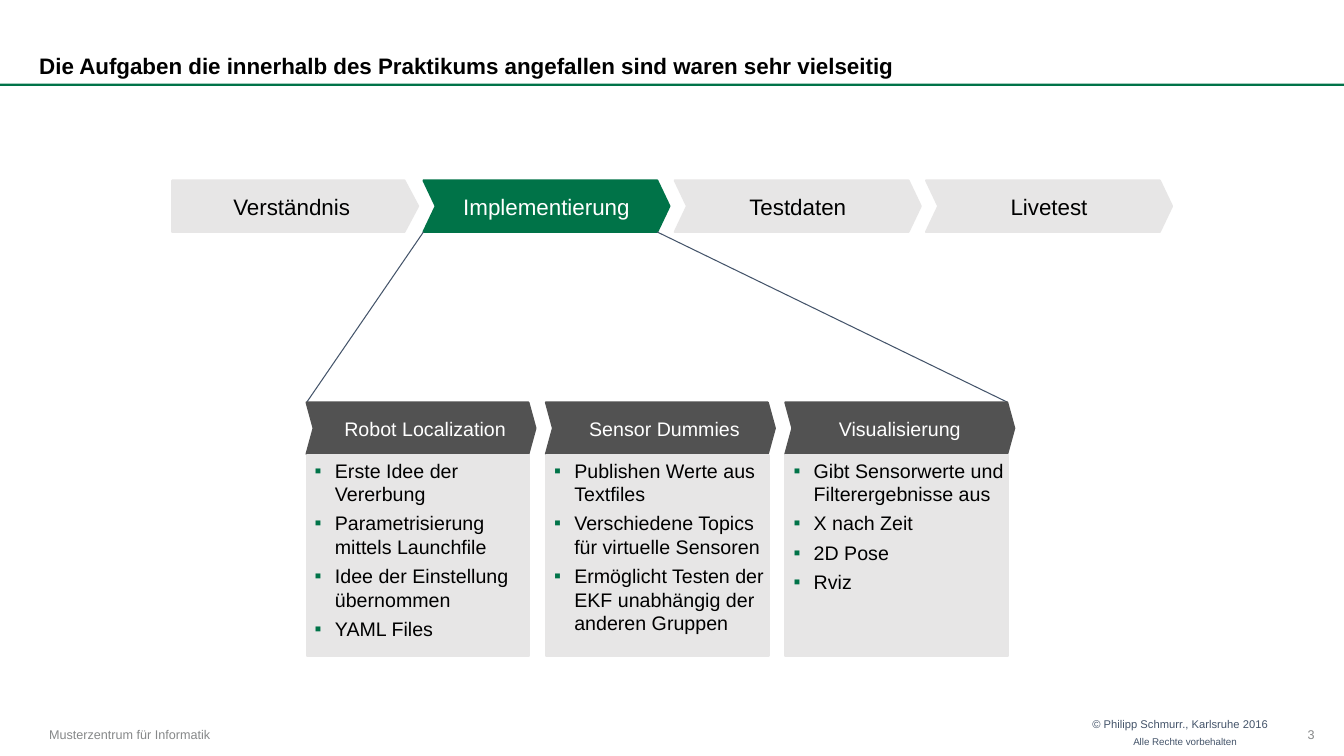
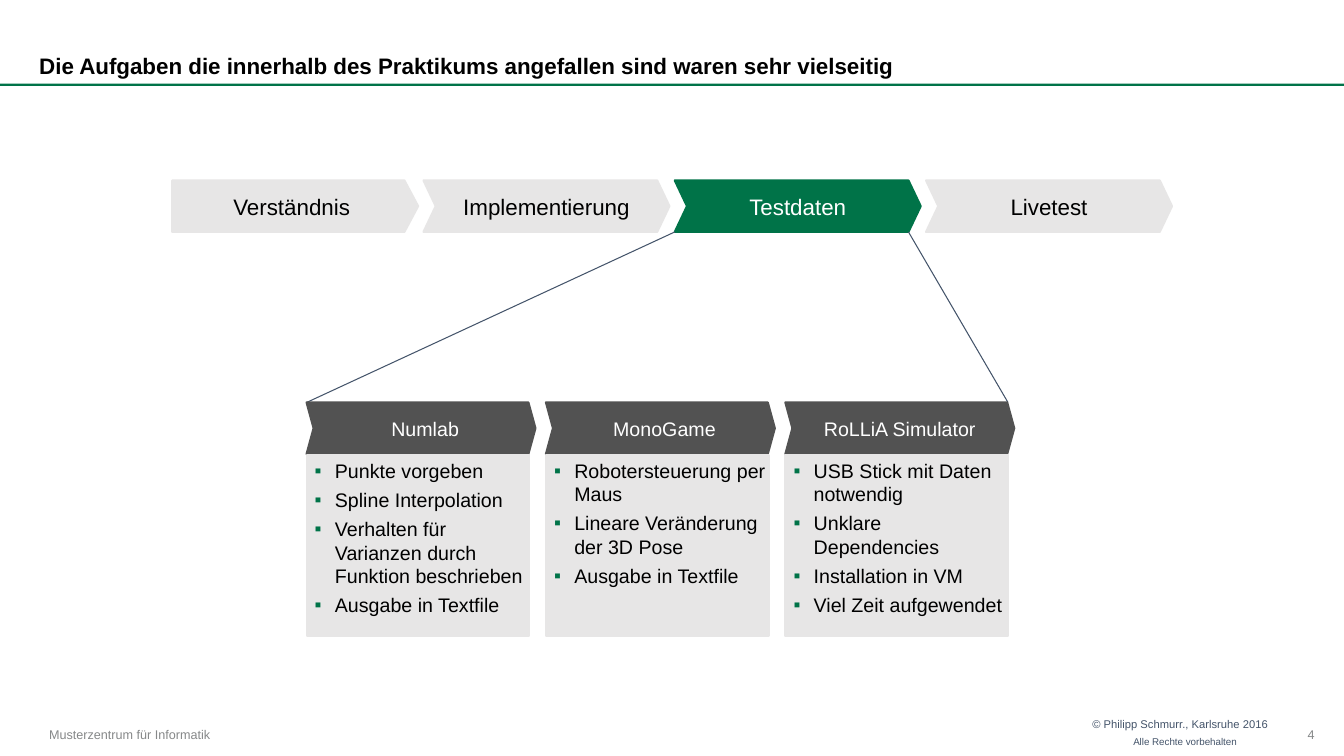
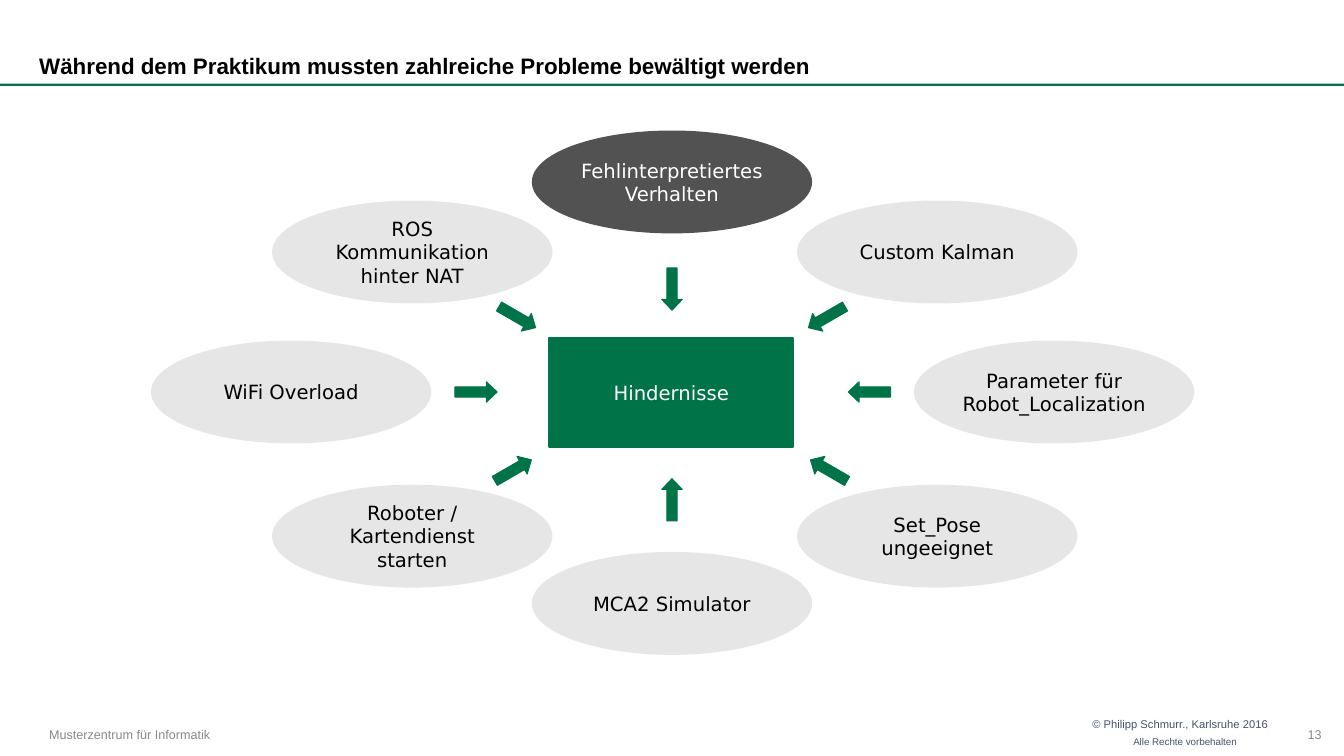
import lxml.etree
import pptx
import pptx.dml.color
import pptx.enum.shapes
import pptx.enum.text
import pptx.oxml.ns
import pptx.util

Pt = pptx.util.Pt
RGBColor = pptx.dml.color.RGBColor
SHAPE = pptx.enum.shapes.MSO_SHAPE
ALIGN = pptx.enum.text.PP_ALIGN
ANCHOR = pptx.enum.text.MSO_ANCHOR
qn = pptx.oxml.ns.qn

GREEN = RGBColor(0x00, 0x73, 0x48)
LIGHT = RGBColor(0xE7, 0xE6, 0xE6)
DARK = RGBColor(0x52, 0x52, 0x52)
SLATE = RGBColor(0x44, 0x54, 0x6A)
FOOTER_GREY = RGBColor(0x86, 0x88, 0x89)
BLACK = RGBColor(0, 0, 0)
WHITE = RGBColor(0xFF, 0xFF, 0xFF)

SLIDE_W, SLIDE_H = 960, 540
TASKS_TITLE = "Die Aufgaben die innerhalb des Praktikums angefallen sind waren sehr vielseitig"
PHASES = ["Verständnis", "Implementierung", "Testdaten", "Livetest"]
IMPLEMENTATION = [
    ("Robot Localization", ["Erste Idee der Vererbung", "Parametrisierung mittels Launchfile",
                            "Idee der Einstellung übernommen", "YAML Files"]),
    ("Sensor Dummies", ["Publishen Werte aus Textfiles",
                        "Verschiedene Topics für virtuelle Sensoren",
                        "Ermöglicht Testen der EKF unabhängig der anderen Gruppen"]),
    ("Visualisierung", ["Gibt Sensorwerte und Filterergebnisse aus", "X nach Zeit",
                        "2D Pose", "Rviz"]),
]
TEST_DATA = [
    ("Numlab", ["Punkte vorgeben", "Spline Interpolation",
                "Verhalten für Varianzen durch Funktion beschrieben", "Ausgabe in Textfile"]),
    ("MonoGame", ["Robotersteuerung per Maus", "Lineare Veränderung der 3D Pose",
                  "Ausgabe in Textfile"]),
    ("RoLLiA Simulator", ["USB Stick mit Daten notwendig", "Unklare Dependencies",
                          "Installation in VM", "Viel Zeit aufgewendet"]),
]
# Text, ellipse centre and arrow centre relative to the hub, arrow angle
OBSTACLES = [
    ("Fehlinterpretiertes Verhalten", (0, -150), (0, -73.5), 90),
    ("Custom Kalman", (189.5, -100), (110.5, -53.5), 150),
    ("Parameter für Robot_Localization", (273, 0), (141, 0), 180),
    ("Set_Pose ungeeignet", (189.5, 103), (112, 56), 210),
    ("MCA2 Simulator", (0, 151), (0, 77), 270),
    ("Roboter / Kartendienst starten", (-185.5, 103), (-113.5, 56), 330),
    ("WiFi Overload", (-272, 0), (-140, 0), 0),
    ("ROS Kommunikation hinter NAT", (-185.5, -100), (-110.5, -53.5), 30),
]


def write(shape, *lines, size=14, color=BLACK, font="Arial", bold=False, align=ALIGN.CENTER,
          anchor=ANCHOR.MIDDLE, insets=(7.2, 3.6, 7.2, 3.6), wrap=True, spacing=None, bullet=False):
    frame = shape.text_frame
    frame.auto_size = pptx.enum.text.MSO_AUTO_SIZE.NONE
    frame.word_wrap = wrap
    frame.vertical_anchor = anchor
    (frame.margin_left, frame.margin_top,
     frame.margin_right, frame.margin_bottom) = [Pt(inset) for inset in insets]
    frame.text = "\n".join(lines)
    for paragraph in frame.paragraphs:
        paragraph.alignment = align
        if spacing:
            paragraph.line_spacing = spacing
        if bullet:
            add_bullet(paragraph)
        for run in paragraph.runs:
            run.font.name, run.font.size, run.font.bold = font, Pt(size), bold
            run.font.color.rgb = color


def add_bullet(paragraph):
    paragraph.space_before = paragraph.space_after = Pt(2)
    props = paragraph._p.get_or_add_pPr()
    props.set("marL", str(Pt(20.2)))
    props.set("indent", str(-Pt(14.4)))
    tint = lxml.etree.SubElement(props, qn("a:buClr"))
    lxml.etree.SubElement(tint, qn("a:srgbClr"), val=str(GREEN))
    lxml.etree.SubElement(props, qn("a:buFont"), typeface="Arial")
    lxml.etree.SubElement(props, qn("a:buChar"), char="▪")


def add_block(slide, kind, x, y, w, h, color, outline=1.5, adjust=()):
    block = slide.shapes.add_shape(kind, Pt(x), Pt(y), Pt(w), Pt(h))
    block.shadow.inherit = False
    block.fill.solid()
    block.fill.fore_color.rgb = color
    if outline:
        block.line.color.rgb = color
        block.line.width = Pt(outline)
    else:
        block.line.fill.background()
    for index, value in enumerate(adjust):
        block.adjustments[index] = value
    return block


def add_label(slide, text, x, y, w, h, **style):
    label = slide.shapes.add_textbox(Pt(x), Pt(y), Pt(w), Pt(h))
    write(label, text, **style)
    return label


def add_guide(slide, x1, y1, x2, y2):
    guide = slide.shapes.add_connector(pptx.enum.shapes.MSO_CONNECTOR.STRAIGHT,
                                       Pt(x1), Pt(y1), Pt(x2), Pt(y2))
    guide.line.color.rgb = SLATE
    guide.line.width = Pt(0.75)
    lxml.etree.SubElement(guide.element.spPr, qn("a:effectLst"))


def set_up_layout(layout, slide):
    """Place the title and move the shared band and footers from slide to layout."""
    for holder in list(layout.placeholders):
        if holder.placeholder_format.idx == 0:
            holder.left, holder.top, holder.width, holder.height = 0, 0, Pt(790), Pt(60)
        else:
            holder.element.getparent().remove(holder.element)
    shared = [
        add_block(slide, SHAPE.RECTANGLE, 0, 59.8, SLIDE_W, 1.5, GREEN, outline=0),
        add_label(slide, "© Philipp Schmurr., Karlsruhe 2016", 771, 508.5, 142, 31.5, size=8,
                  color=SLATE, align=ALIGN.RIGHT, anchor=ANCHOR.TOP),
        add_label(slide, "Alle Rechte vorbehalten", 793.5, 522, 97, 18, size=7,
                  color=SLATE, align=ALIGN.RIGHT, anchor=ANCHOR.TOP),
        add_label(slide, "Musterzentrum für Informatik", 28, 509, 153, 31, size=9,
                  color=FOOTER_GREY, align=ALIGN.LEFT),
    ]
    for part in shared:
        layout.shapes.element.append(part.element)


def fill_frame(slide, title, number):
    """Write the title and the page number."""
    write(slide.shapes.title, title, size=16, bold=True, align=ALIGN.LEFT,
          anchor=ANCHOR.BOTTOM, insets=(28, 3.6, 7.2, 3.6), spacing=0.9)
    add_label(slide, str(number), 927, 508.5, 32.5, 31.5, size=9, color=FOOTER_GREY,
              align=ALIGN.LEFT)


def phase_chain(slide, active, x, y, w=175.7, h=36.8, step=179.5):
    """Draw the phases and return the lower left and right corners of the active one."""
    notch = 0.238
    for index, phase in enumerate(PHASES):
        kind, bend = (SHAPE.CHEVRON, notch) if index else (SHAPE.PENTAGON, 0.266)
        chosen = phase == active
        arrow = add_block(slide, kind, x + index * step, y, w, h,
                          GREEN if chosen else LIGHT, adjust=[bend])
        write(arrow, phase, size=16, color=WHITE if chosen else BLACK, wrap=False)
    left = x + PHASES.index(active) * step
    return left, left + w - notch * h, y + h


def task_card(slide, heading, points, x, y, body_h, indent):
    head = add_block(slide, SHAPE.CHEVRON, x, y, 163.5, 36.8, DARK, adjust=[0.137])
    write(head, heading, color=WHITE, insets=(indent, 3.6, 7.2, 3.6))
    body = add_block(slide, SHAPE.RECTANGLE, x, y + 37.2, 159, body_h, LIGHT)
    write(body, *points, align=ALIGN.LEFT, anchor=ANCHOR.TOP, insets=(0, 2.9, 0, 2.9), bullet=True)


def task_slide(slide, active, cards, body_h):
    x, y, step = 219, 287.5, 171
    left, right, bottom = phase_chain(slide, active, 123, 128.9)
    add_guide(slide, left, bottom, x, y)
    add_guide(slide, right, bottom, x + 2 * step + 159, y)
    for index, (heading, points) in enumerate(cards):
        indent = 7.2 if index == len(cards) - 1 else 13
        task_card(slide, heading, points, x + index * step, y, body_h, indent)


def obstacle_slide(slide, center_x=480, center_y=280):
    def centered(kind, offset, w, h, color, **options):
        return add_block(slide, kind, center_x + offset[0] - w / 2,
                         center_y + offset[1] - h / 2, w, h, color, **options)

    hub = centered(SHAPE.RECTANGLE, (-0.5, 0.3), 174.3, 77.8, GREEN)
    write(hub, "Hindernisse", color=WHITE, font="DejaVu Sans")
    for index, (text, place, arrow_place, angle) in enumerate(OBSTACLES):
        bubble = centered(SHAPE.OVAL, place, 198.7, 72, LIGHT if index else DARK)
        write(bubble, text, color=BLACK if index else WHITE, font="DejaVu Sans",
              insets=(0, 3.6, 0, 3.6))
        arrow = centered(SHAPE.RIGHT_ARROW, arrow_place, 30.2, 14.6, GREEN,
                         outline=0.75, adjust=(0.5, 0.526))
        arrow.rotation = angle


def main():
    deck = pptx.Presentation()
    deck.slide_width, deck.slide_height = Pt(SLIDE_W), Pt(SLIDE_H)
    layout = deck.slide_layouts[5]
    implementation, test_data, obstacles = [deck.slides.add_slide(layout) for _ in range(3)]
    set_up_layout(layout, implementation)

    fill_frame(implementation, TASKS_TITLE, 3)
    task_slide(implementation, "Implementierung", IMPLEMENTATION, 144)
    fill_frame(test_data, TASKS_TITLE, 4)
    task_slide(test_data, "Testdaten", TEST_DATA, 129.6)
    fill_frame(obstacles, "Während dem Praktikum mussten zahlreiche Probleme bewältigt werden", 13)
    obstacle_slide(obstacles)
    deck.save("out.pptx")


if __name__ == "__main__":
    main()
